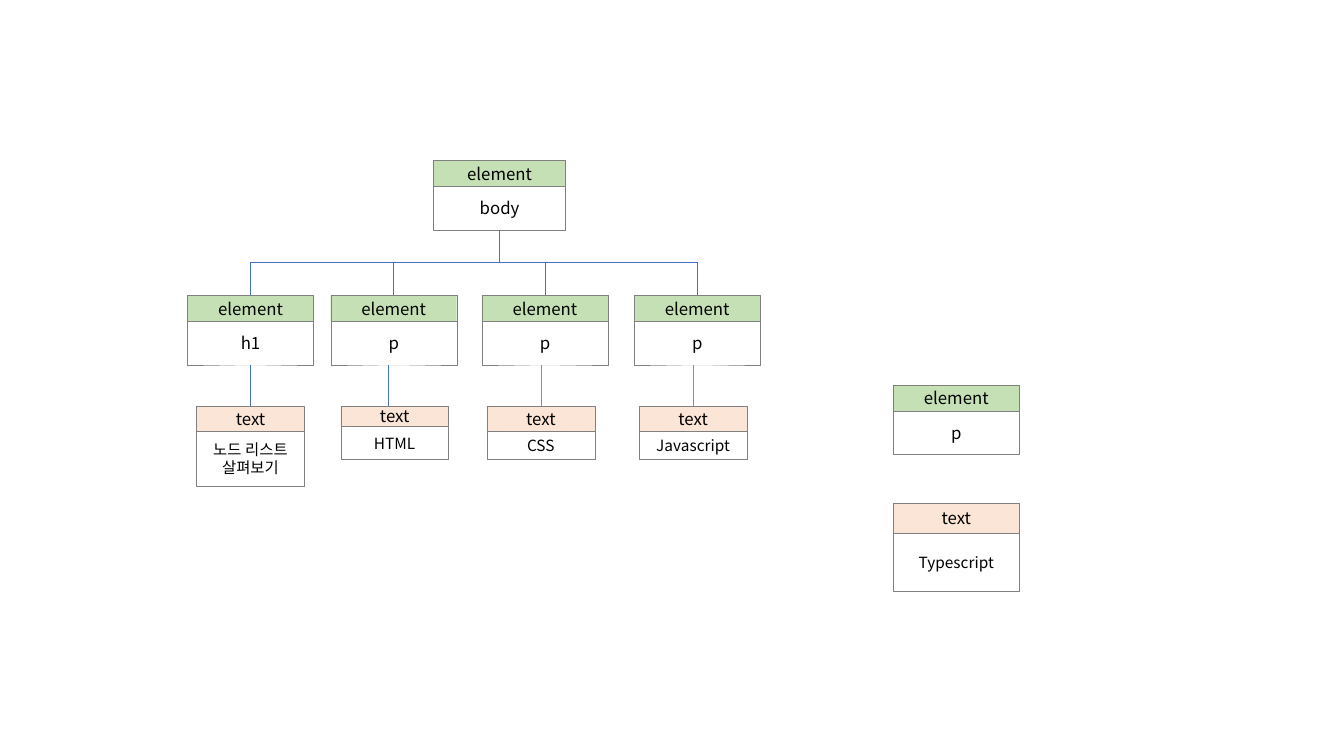
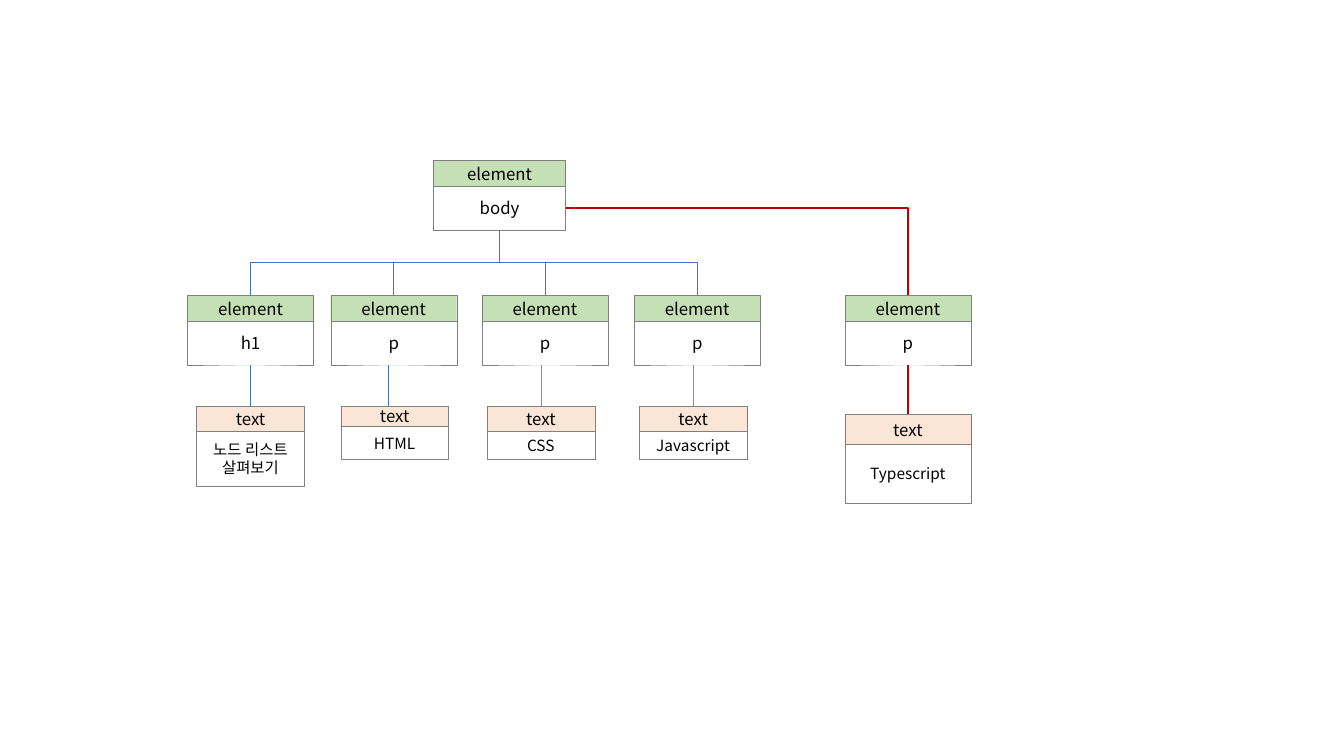
from dataclasses import dataclass

from lxml import etree
from pptx import Presentation
from pptx.dml.color import RGBColor
from pptx.enum import shapes, text
from pptx.oxml.ns import qn
from pptx.util import Inches, Pt


@dataclass(frozen=True)
class Theme:
    font: str = "Noto Sans CJK KR"
    ink: str = "000000"
    paper: str = "FFFFFF"
    border: str = "808080"
    element: str = "C5E0B4"
    text: str = "FBE5D6"
    branch: str = "4472C4"
    light_branch: str = "5B9BD5"
    added: str = "C00000"
    label_size: float = 12
    content_size: float = 11
    border_width: float = 0.25
    branch_width: float = 0.5
    added_width: float = 1.5


THEME = Theme()
ELEMENT_WIDTH, BODY_WIDTH, TEXT_WIDTH = 1.25, 1.31, 1.07
ELEMENT_BAR, ELEMENT_NAME = 0.26, 0.43
TOP, LEFT, BOTTOM, RIGHT = range(4)  # connection sites of a rectangle

# Tag, tag offset, text, text inset, bar height, content height, stem colour
COLUMNS = [
    ("h1", 0, "노드 리스트 살펴보기", 0.09, 0.25, 0.54, THEME.branch),
    ("p", 1.42, "HTML", 0.10, 0.20, 0.33, THEME.branch),
    ("p", 2.92, "CSS", 0.05, 0.25, 0.28, THEME.light_branch),
    ("p", 4.43, "Javascript", 0.05, 0.25, 0.28, THEME.light_branch),
]


@dataclass
class Node:
    bar: object
    content: object


# Node cards
def add_cell(group, left, top, width, height, fill, words, size):
    box = group.shapes.add_shape(shapes.MSO_SHAPE.RECTANGLE, Inches(left),
                                 Inches(top), Inches(width), Inches(height))
    box.shadow.inherit = False
    box.fill.solid()
    box.fill.fore_color.rgb = RGBColor.from_string(fill)
    box.line.color.rgb = RGBColor.from_string(THEME.border)
    box.line.width = Pt(THEME.border_width)
    frame = box.text_frame
    frame.word_wrap = True
    frame.vertical_anchor = text.MSO_ANCHOR.MIDDLE
    frame.text = words
    para = frame.paragraphs[0]
    para.alignment = text.PP_ALIGN.CENTER
    font = para.runs[0].font
    font.size = Pt(size)
    font.color.rgb = RGBColor.from_string(THEME.ink)
    font.name = THEME.font
    etree.SubElement(para.runs[0]._r.rPr, qn("a:ea")).set("typeface", THEME.font)
    return box


def add_node(page, left, top, width, kind, words, bar_height, content_height):
    group = page.shapes.add_group_shape()
    fill, size = {"element": (THEME.element, THEME.label_size),
                  "text": (THEME.text, THEME.content_size)}[kind]
    return Node(
        add_cell(group, left, top, width, bar_height, fill, kind, THEME.label_size),
        add_cell(group, left, top + bar_height, width, content_height,
                 THEME.paper, words, size))


def add_element(page, left, top, tag, width=ELEMENT_WIDTH):
    return add_node(page, left, top, width, "element", tag, ELEMENT_BAR, ELEMENT_NAME)


# Connectors
def add_link(page, kind, begin, end, color, width):
    link = page.shapes.add_connector(kind, *begin, *end)
    link.line.color.rgb = RGBColor.from_string(color)
    link.line.width = Pt(width)
    etree.SubElement(link.element.spPr, qn("a:effectLst"))
    return link


def site_point(box, site):
    return {TOP: (box.left + box.width // 2, box.top),
            LEFT: (box.left, box.top + box.height // 2),
            BOTTOM: (box.left + box.width // 2, box.top + box.height),
            RIGHT: (box.left + box.width, box.top + box.height // 2)}[site]


def join(page, kind, start, start_site, finish, finish_site, color, width):
    link = add_link(page, kind, site_point(start, start_site),
                    site_point(finish, finish_site), color, width)
    link.begin_connect(start, start_site)
    link.end_connect(finish, finish_site)
    return link


def add_branch(page, parent, child):
    """Elbow that leaves the parent downwards and enters the child from above."""
    link = join(page, shapes.MSO_CONNECTOR.ELBOW, parent.content, BOTTOM,
                child.bar, TOP, THEME.branch, THEME.branch_width)
    center_x, center_y = link.left + link.width // 2, link.top + link.height // 2
    link.width, link.height = link.height, link.width
    link.left, link.top = center_x - link.width // 2, center_y - link.height // 2
    frame = link.element.spPr.xfrm
    goes_right = child.bar.left > parent.bar.left
    frame.flipH = goes_right
    frame.rot = 270 if goes_right else 90


def add_stem(page, element, leaf, color):
    """Straight stem, joined wherever it meets the middle of a side."""
    straight = shapes.MSO_CONNECTOR.STRAIGHT
    start = site_point(element.content, BOTTOM)
    finish = site_point(leaf.bar, TOP)
    if abs(start[0] - finish[0]) < Inches(0.01) and leaf.bar.height > Inches(0.2):
        join(page, straight, element.content, BOTTOM, leaf.bar, TOP,
             color, THEME.branch_width)
    elif leaf.bar.height > Inches(0.2):
        link = add_link(page, straight, (finish[0], start[1]), finish,
                        color, THEME.branch_width)
        link.end_connect(leaf.bar, TOP)
    else:  # the short bar has its stem left of the middle
        x = finish[0] - Inches(0.06)
        add_link(page, straight, (x, start[1]), (x, finish[1]),
                 color, THEME.branch_width)


# Regions
def add_tree(page, left, top):
    body = add_element(page, left + 2.44, top, "body", BODY_WIDTH)
    for tag, offset, words, inset, bar, content, color in COLUMNS:
        element = add_element(page, left + offset, top + 1.34, tag)
        leaf = add_node(page, left + offset + inset, top + 2.44, TEXT_WIDTH,
                        "text", words, bar, content)
        add_stem(page, element, leaf, color)
        add_branch(page, body, element)
    return body


def add_new_pair(page, left, top, text_offset):
    element = add_element(page, left, top, "p")
    leaf = add_node(page, left, top + text_offset, ELEMENT_WIDTH, "text",
                    "Typescript", 0.30, 0.58)
    return element, leaf


def attach_pair(page, body, element, leaf):
    join(page, shapes.MSO_CONNECTOR.STRAIGHT, leaf.bar, TOP,
         element.content, BOTTOM, THEME.added, THEME.added_width)
    corner = join(page, shapes.MSO_CONNECTOR.ELBOW, body.content, RIGHT,
                  element.bar, TOP, THEME.added, THEME.added_width)
    corner.element.spPr.prstGeom.set("prst", "bentConnector2")


def main():
    deck = Presentation()
    deck.slide_width, deck.slide_height = Inches(13.33), Inches(7.5)
    # Position of the new pair, gap to its text node, whether it is attached
    for left, top, text_offset, attached in [(8.86, 3.82, 1.17, False),
                                             (8.38, 2.93, 1.18, True)]:
        page = deck.slides.add_slide(deck.slide_layouts[6])
        body = add_tree(page, 1.86, 1.59)
        element, leaf = add_new_pair(page, left, top, text_offset)
        if attached:
            attach_pair(page, body, element, leaf)
    deck.save("out.pptx")


if __name__ == "__main__":
    main()
